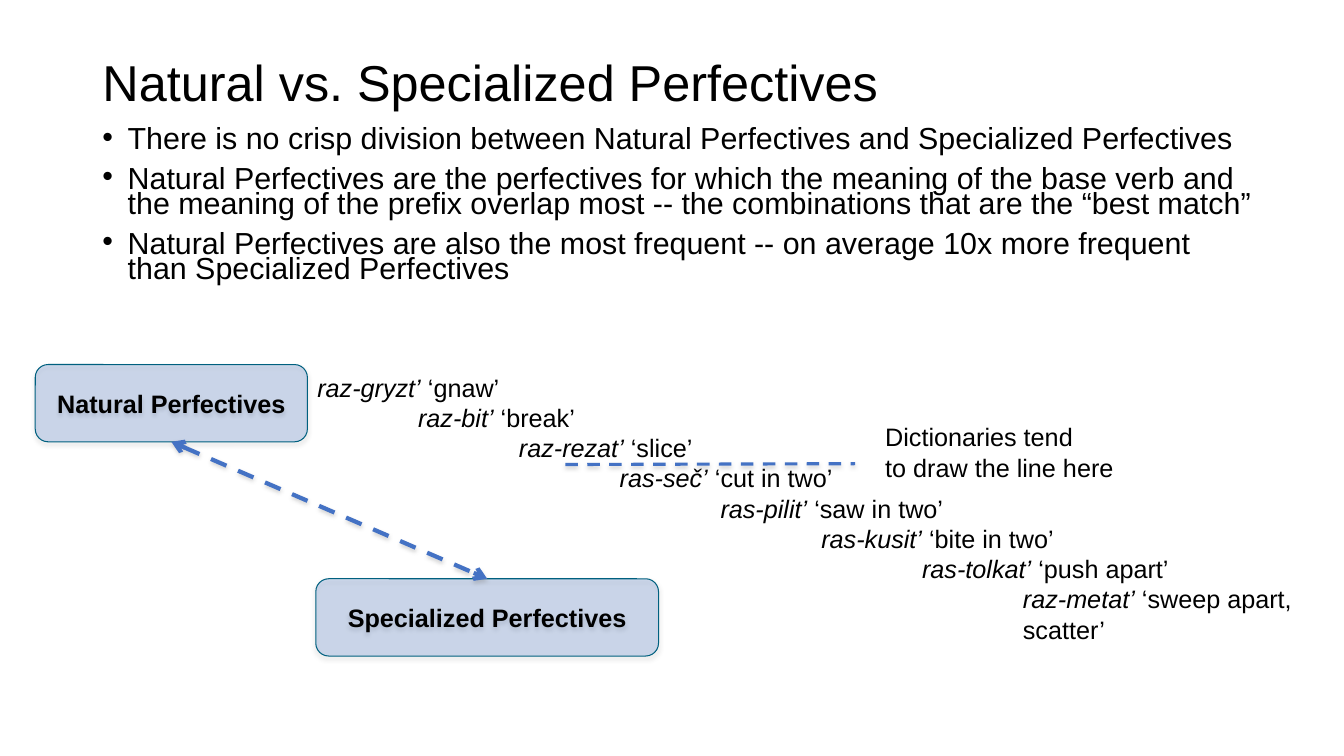
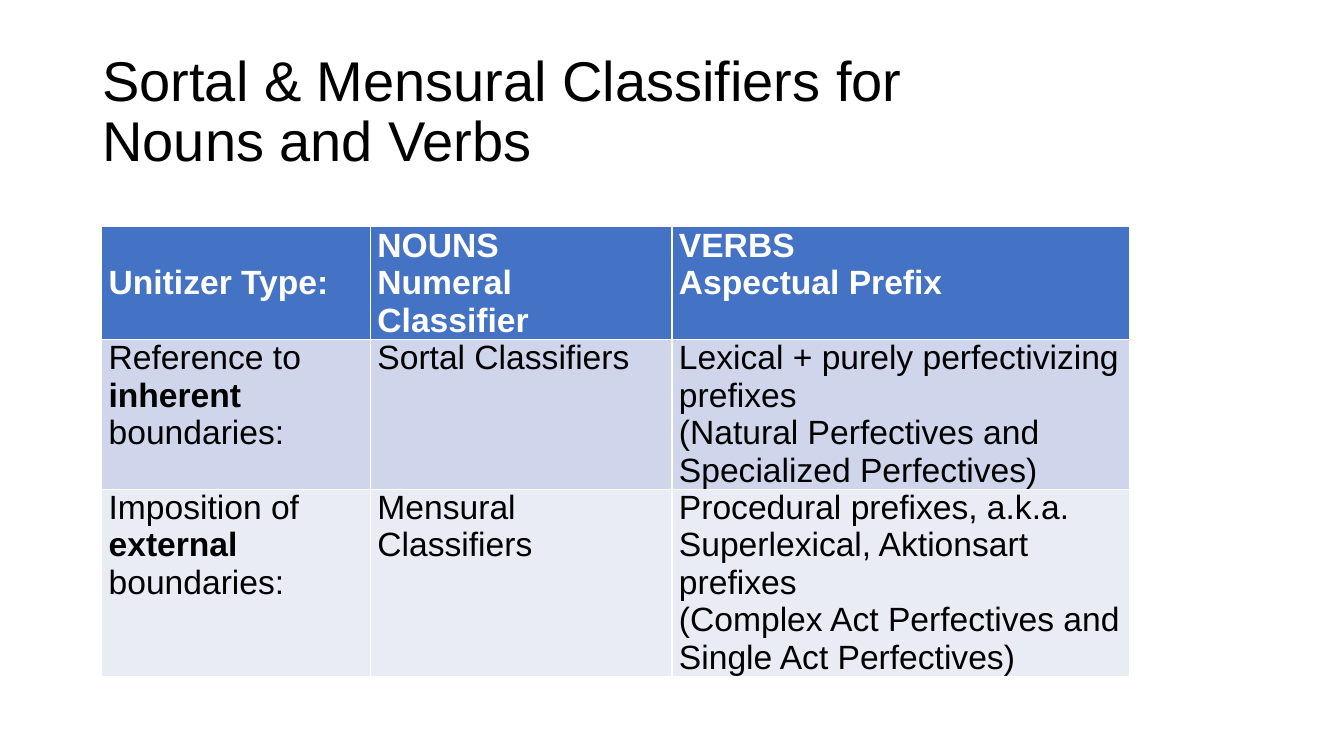
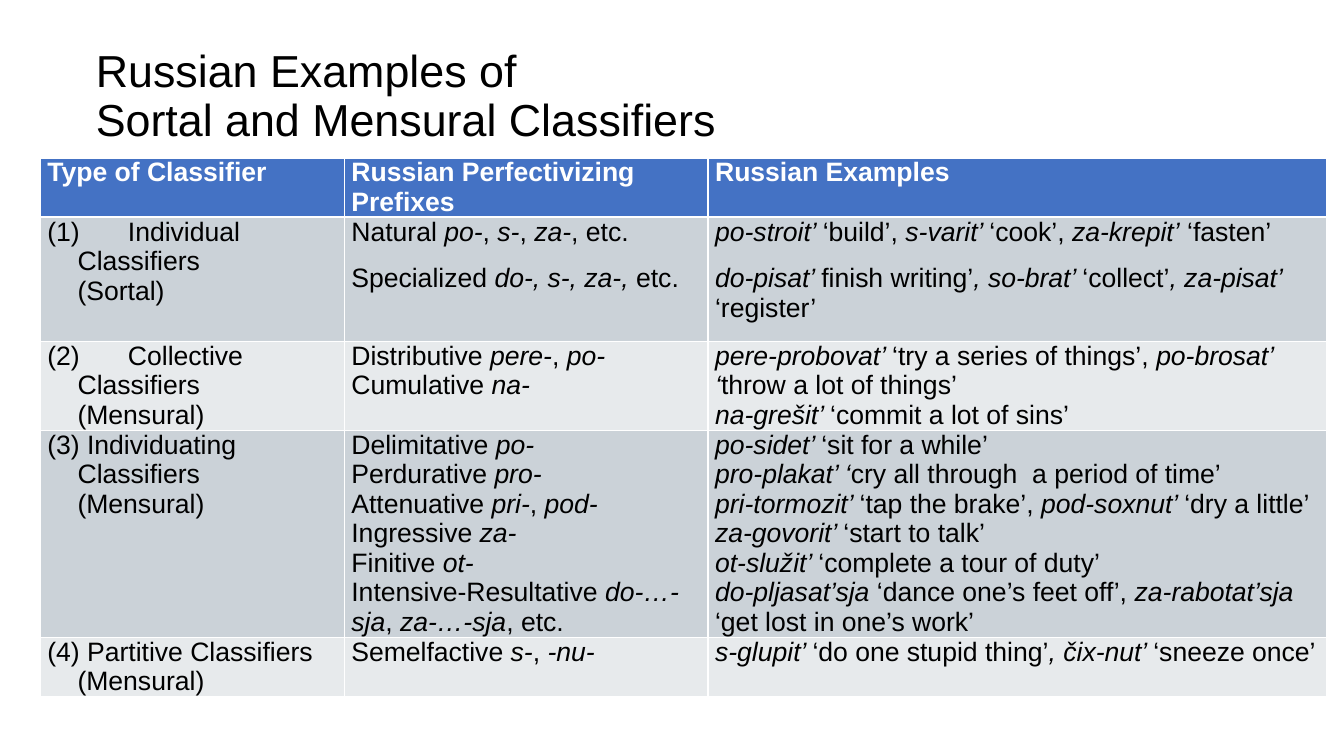
"""Build three slides on Russian perfectives and classifiers."""
from lxml import etree
from pptx import Presentation
from pptx.dml.color import RGBColor
from pptx.enum.dml import MSO_LINE
from pptx.enum.shapes import MSO_CONNECTOR, MSO_SHAPE
from pptx.enum.text import MSO_ANCHOR, MSO_AUTO_SIZE, PP_ALIGN
from pptx.oxml.ns import qn
from pptx.util import Emu, Inches, Pt

BLACK = RGBColor(0x00, 0x00, 0x00)
WHITE = RGBColor(0xFF, 0xFF, 0xFF)
BLUE = RGBColor(0x44, 0x72, 0xC4)
TEAL = RGBColor(0x00, 0x60, 0x7F)
LAVENDER = RGBColor(0xCF, 0xD5, 0xEA)
PALE_LAVENDER = RGBColor(0xE9, 0xEB, 0xF5)
STEEL = RGBColor(0xCB, 0xD2, 0xD8)
PALE_STEEL = RGBColor(0xE7, 0xEA, 0xEC)
FONT = "Arial"
COLUMNS, ROWS = 160, 90
UNIT = Inches(7.5) / ROWS


def grid(*cells):
    """Turn counts of grid cells into lengths."""
    return [Emu(round(cell * UNIT)) for cell in cells]


def write(frame, paragraphs, size=18, color=BLACK, bold=False, emphasis="italic",
          align=PP_ALIGN.LEFT, spacing=1.0, gap=0, hanging=0, step=0, tab=0):
    """Fill a text frame; asterisks switch the emphasis on and off."""
    for order, text in enumerate(paragraphs):
        paragraph = frame.add_paragraph() if order else frame.paragraphs[0]
        properties = paragraph._p.get_or_add_pPr()
        properties.set("marL", str(Inches(hanging + step * order)))
        properties.set("indent", str(Inches(-hanging)))
        if tab:
            stops = etree.SubElement(properties, qn("a:tabLst"))
            etree.SubElement(stops, qn("a:tab"), pos=str(Inches(tab)), algn="l")
        paragraph.alignment = align
        paragraph.line_spacing = spacing
        paragraph.space_before = Pt(gap if order else 0)
        paragraph.space_after = Pt(0)
        for span_order, span in enumerate(text.split("*")):
            for line_order, line in enumerate(span.split("\n")):
                if line_order:
                    paragraph.add_line_break()
                    etree.SubElement(paragraph._p[-1], qn("a:rPr"), sz=str(round(size * 100)))
                if line:
                    run = paragraph.add_run()
                    run.text = line
                    run.font.name, run.font.size = FONT, Pt(size)
                    run.font.color.rgb, run.font.bold = color, bold
                    if span_order % 2:
                        setattr(run.font, emphasis, True)


presentation = Presentation()
presentation.slide_width, presentation.slide_height = grid(COLUMNS, ROWS)

headings = [
    (1, "Natural vs. Specialized Perfectives", 36, (11, 4.8, 138, 10.8)),
    (5, "Sortal & Mensural Classifiers for\nNouns and Verbs", 40, (11, 4.8, 138, 17.4)),
    (5, "Russian Examples of\nSortal and Mensural Classifiers", 32, (10.2, 4.4, 131.4, 14.4)),
]
slides = []
for layout, heading, size, area in headings:
    slide = presentation.slides.add_slide(presentation.slide_layouts[layout])
    title = slide.shapes.title
    title.left, title.top, title.width, title.height = grid(*area)
    title.text_frame.auto_size = MSO_AUTO_SIZE.NONE
    title.text_frame.vertical_anchor = MSO_ANCHOR.MIDDLE
    write(title.text_frame, [heading], size=size, spacing=0.9)
    slides.append(slide)
continuum, unitizers, examples = slides

claims = continuum.placeholders[1]
claims.left, claims.top, claims.width, claims.height = grid(11, 14.8, 139.3, 24.7)
claims.text_frame.auto_size = MSO_AUTO_SIZE.NONE
write(claims.text_frame, [
    "There is no crisp division between Natural Perfectives and Specialized Perfectives",
    "Natural Perfectives are the perfectives for which the meaning of the base verb and "
    "the meaning of the prefix overlap most -- the combinations that are the “best match”",
    "Natural Perfectives are also the most frequent -- on average 10x more frequent "
    "than Specialized Perfectives",
], size=21.7, spacing=0.7, gap=10, hanging=0.25)

verbs = continuum.shapes.add_textbox(*grid(36.6, 43.7, 122.2, 34)).text_frame
verbs.word_wrap = True
write(verbs, [
    "*raz-gryzt’* ‘gnaw’",
    "*raz-bit’* ‘break’",
    "*raz-rezat’* ‘slice’",
    "*ras-seč’* ‘cut in two’",
    "*ras-pilit’* ‘saw in two’",
    "*ras-kusit’* ‘bite in two’",
    "*ras-tolkat’* ‘push apart’",
    "*raz-metat’* ‘sweep apart, scatter’",
], step=1)

shadowed = []
for label, area in [
    ("Natural Perfectives", (4.2, 43.4, 32.4, 9.2)),
    ("Specialized Perfectives", (37.6, 68.9, 40.8, 9.2)),
]:
    pole = continuum.shapes.add_shape(MSO_SHAPE.ROUNDED_RECTANGLE, *grid(*area))
    pole.fill.solid()
    pole.fill.fore_color.rgb = BLUE
    tint = pole._element.spPr.find(qn("a:solidFill"))[0]
    etree.SubElement(tint, qn("a:alpha"), val="24000")
    pole.line.color.rgb, pole.line.width = TEAL, Pt(0.75)
    pole.text_frame.vertical_anchor = MSO_ANCHOR.MIDDLE
    write(pole.text_frame, [label], bold=True, align=PP_ALIGN.CENTER)
    shadowed.append(pole)

for ends, weight, arrowheads in [
    ((20.4, 52.6, 58, 68.9), 3, ("a:headEnd", "a:tailEnd")),
    ((67.3, 55.3, 101.8, 55.2), 2.25, ()),
]:
    dashes = continuum.shapes.add_connector(MSO_CONNECTOR.STRAIGHT, *grid(*ends))
    dashes.line.color.rgb, dashes.line.width = BLUE, Pt(weight)
    dashes.line.dash_style = MSO_LINE.DASH
    for arrowhead in arrowheads:
        etree.SubElement(dashes.line._get_or_add_ln(), qn(arrowhead), type="arrow")
    shadowed.append(dashes)

for caster in shadowed:
    effects = etree.SubElement(caster._element.spPr, qn("a:effectLst"))
    shadow = etree.SubElement(effects, qn("a:outerShdw"), blurRad=str(Pt(3.1)),
                              dist=str(Pt(1.8)), dir="5400000", rotWithShape="0")
    gray = etree.SubElement(shadow, qn("a:srgbClr"), val="808080")
    etree.SubElement(gray, qn("a:alpha"), val="35000")

dictionaries = continuum.shapes.add_textbox(*grid(104.2, 49.6, 29.9, 8.5)).text_frame
dictionaries.word_wrap = False
write(dictionaries, ["Dictionaries tend", "to draw the line here"])

unitizer_rows = [
    [["Unitizer Type:"], ["NOUNS", "Numeral Classifier"], ["VERBS", "Aspectual Prefix"]],
    [["Reference to *inherent *boundaries:"], ["Sortal Classifiers"],
     ["Lexical + purely perfectivizing prefixes",
      "(Natural Perfectives and Specialized Perfectives)"]],
    [["Imposition of *external* boundaries:"], ["Mensural Classifiers"],
     ["Procedural prefixes, a.k.a. Superlexical, Aktionsart prefixes",
      "(Complex Act Perfectives and Single Act Perfectives)"]],
]
example_rows = [
    [["Type of Classifier"], ["Russian Perfectivizing Prefixes"], ["Russian Examples"]],
    [["(1)\tIndividual Classifiers", "\t(Sortal)"],
     ["Natural *po-*, *s-*, *za-*, etc.", "Specialized *do-, s-, za-, *etc."],
     ["*po-stroit’ *‘build’, *s-varit’ *‘cook’, *za-krepit’* ‘fasten’",
      "*do-pisat’ *finish writing’*, so-brat’ *‘collect’*, za-pisat’ *‘register’"]],
    [["(2)\tCollective Classifiers", "\t(Mensural)"],
     ["Distributive *pere-*, *po-*\nCumulative *na-*"],
     ["*pere-probovat’ *‘try a series of things’, *po-brosat’ ‘*throw a lot of things’\n"
      "*na-grešit’ *‘commit a lot of sins’"]],
    [["(3) Individuating Classifiers", "\t(Mensural)"],
     ["Delimitative *po-*\nPerdurative *pro-*\nAttenuative *pri-*, *pod-*\n"
      "Ingressive *za-*\nFinitive *ot-*\n"
      "Intensive-Resultative *do-…-sja*, *za-…-sja*, etc."],
     ["*po-sidet’ *‘sit for a while’\n"
      "*pro-plakat’ ‘*cry all through  a period of time’\n"
      "*pri-tormozit’ *‘tap the brake’, *pod-soxnut’ *‘dry a little’\n"
      "*za-govorit’ *‘start to talk’\n"
      "*ot-služit’ *‘complete a tour of duty’\n"
      "*do-pljasat’sja *‘dance one’s feet off’, *za-rabotat’sja *‘get lost in one’s work’"]],
    [["(4) Partitive Classifiers", "\t(Mensural)"],
     ["Semelfactive *s-*, *-nu-*"],
     ["*s-glupit’ *‘do one stupid thing’*, čix-nut’ *‘sneeze once’"]],
]
unitizer_format = {"size": 24, "emphasis": "bold"}
example_format = {"size": 19, "gap": 12}
numbered_format = {"size": 19, "hanging": 0.3, "tab": 0.5}

for slide, rows, corner, widths, heights, bands, first_format, other_format in [
    (unitizers, unitizer_rows, (12.1, 27), (32, 35.9, 54.5), (13, 17, 22),
     (PALE_LAVENDER, LAVENDER), unitizer_format, unitizer_format),
    (examples, example_rows, (4.8, 18.8), (36.2, 43.3, 73.6), (6.4, 14.8, 9.6, 22.4, 6.4),
     (PALE_STEEL, STEEL), numbered_format, example_format),
]:
    table = slide.shapes.add_table(
        len(rows), len(widths), *grid(*corner, sum(widths), sum(heights))).table
    for column, width in zip(table.columns, grid(*widths)):
        column.width = width
    for row, height in zip(table.rows, grid(*heights)):
        row.height = height
    for row_order, row in enumerate(rows):
        for column_order, paragraphs in enumerate(row):
            cell = table.cell(row_order, column_order)
            cell.margin_left = cell.margin_right = Inches(0.07)
            cell.margin_top = cell.margin_bottom = 0
            cell.fill.solid()
            cell.fill.fore_color.rgb = bands[row_order % 2] if row_order else BLUE
            if row_order == 0:
                write(cell.text_frame, paragraphs, size=other_format["size"],
                      color=WHITE, bold=True)
            else:
                write(cell.text_frame, paragraphs,
                      **(other_format if column_order else first_format))
    if slide is unitizers:
        table.cell(0, 0).vertical_anchor = MSO_ANCHOR.MIDDLE

presentation.save("out.pptx")
